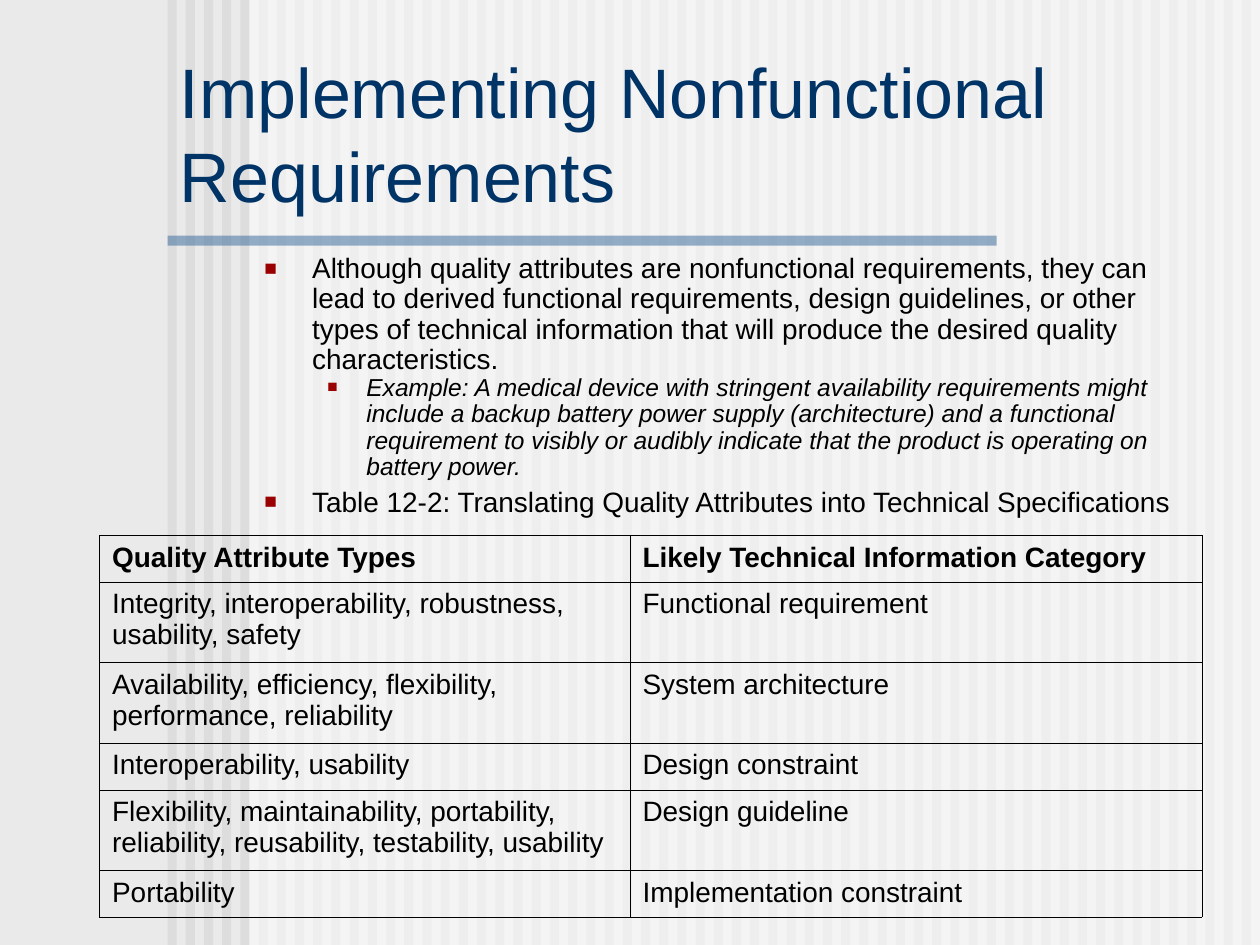
from lxml.etree import SubElement
from pptx import Presentation
from pptx.dml.color import RGBColor
from pptx.enum.shapes import MSO_SHAPE as Kind
from pptx.enum.text import MSO_ANCHOR as Anchor
from pptx.oxml import parse_xml
from pptx.oxml.ns import nsdecls, qn
from pptx.util import Inches, Pt

WIDE, HIGH = Inches(10), Inches(7.5)
LEFT, COUNT = 13.3, 60
POINTS = [
    (0, "Although quality attributes are nonfunctional requirements, they can lead to derived "
        "functional requirements, design guidelines, or other types of technical information "
        "that will produce the desired quality characteristics."),
    (1, "Example: A medical device with stringent availability requirements might include a "
        "backup battery power supply (architecture) and a functional requirement to visibly "
        "or audibly indicate that the product is operating on battery power."),
    (0, "Table 12-2: Translating Quality Attributes into Technical Specifications"),
]
LEVELS = [
    dict(size=16, left=0.38, hang=0.38, scale=75, before=4),
    dict(size=14, left=0.81, hang=0.31, scale=70, before=0, italic=True),
]
ROWS = [
    ("Quality Attribute Types", "Likely Technical Information Category"),
    ("Integrity, interoperability, robustness, usability, safety", "Functional requirement"),
    ("Availability, efficiency, flexibility, performance, reliability", "System architecture"),
    ("Interoperability, usability", "Design constraint"),
    ("Flexibility, maintainability, portability, reliability, reusability, testability, usability",
     "Design guideline"),
    ("Portability", "Implementation constraint"),
]


def color(code):
    """Turn a hex string into a colour."""
    return RGBColor.from_string(code)


def scale(box):
    """Turn percent shares of the slide into lengths."""
    return [int(part * side / 100) for part, side in zip(box, (WIDE, HIGH) * 2)]


def write(para, text, size=16, hue="000000", bold=False, italic=False):
    """Add one formatted run to a paragraph."""
    run = para.add_run()
    run.text = text
    font = run.font
    font.name, font.size = "Arial", Pt(size)
    font.bold, font.italic = bold, italic
    font.color.rgb = color(hue)


def bar(slide, box, hue, alpha=100):
    """Draw a plain filled rectangle."""
    shape = slide.shapes.add_shape(Kind.RECTANGLE, *scale(box))
    shape.shadow.inherit = False
    shape.line.fill.background()
    shape.fill.solid()
    shape.fill.fore_color.rgb = color(hue)
    if alpha < 100:
        tone = shape.fill._xPr.find(".//" + qn("a:srgbClr"))
        SubElement(tone, qn("a:alpha"), val=str(alpha * 1000))


def frame(slide, box, anchor=Anchor.TOP):
    """Add a wrapping text box and return its frame."""
    body = slide.shapes.add_textbox(*scale(box)).text_frame
    body.word_wrap, body.vertical_anchor = True, anchor
    return body


def stripes(slide, box):
    """Fill the box with even stripes, veil them and rule off the title."""
    x, y, w, h = box
    pitch = w / COUNT
    for i in range(COUNT):
        bar(slide, (x + i * pitch, y, pitch / 2, h), "DDDDDD")
    bar(slide, (19.8, y, 80.2, h), "FFFFFF", 50)
    bar(slide, (x, 24.93, 65.8, 1.07), "336699", 50)


def title(slide, box, text):
    """Place the title, growing upward from its base."""
    write(frame(slide, box, Anchor.BOTTOM).paragraphs[0], text, size=40, hue="003366")


def bullet(para, left, hang, scale):
    """Give a paragraph a hanging square bullet."""
    props = para._p.get_or_add_pPr()
    props.set("marL", str(Inches(left)))
    props.set("indent", str(-Inches(hang)))
    SubElement(SubElement(props, qn("a:buClr")), qn("a:srgbClr"), val="9A0000")
    SubElement(props, qn("a:buSzPct"), val=str(scale * 1000))
    SubElement(props, qn("a:buFont"), typeface="Arial")
    SubElement(props, qn("a:buChar"), char="■")


def points(slide, box, items):
    """Place the bulleted list."""
    body = frame(slide, box)
    for i, (level, text) in enumerate(items):
        look = LEVELS[level]
        para = body.add_paragraph() if i else body.paragraphs[0]
        para.level, para.line_spacing = level, 0.9
        para.space_before = Pt(look["before"] if i else 0)
        bullet(para, look["left"], look["hang"], look["scale"])
        write(para, text, size=look["size"], italic=look.get("italic", False))


def border(cell):
    """Draw thin black lines on all sides of a cell."""
    props = cell._tc.get_or_add_tcPr()
    for i, side in enumerate("LRTB"):
        props.insert(i, parse_xml(
            f'<a:ln{side} {nsdecls("a")} w="{Pt(0.34)}"><a:solidFill>'
            f'<a:srgbClr val="000000"/></a:solidFill></a:ln{side}>'))


def table(slide, box, rows):
    """Place the table with a bold head row."""
    grid = slide.shapes.add_table(len(rows), 2, *scale(box)).table
    grid.first_row = grid.horz_banding = False
    for col, wide in zip(grid.columns, (4.21, 4.54)):
        col.width = Inches(wide)
    for r, (row, texts) in enumerate(zip(grid.rows, rows)):
        row.height = Inches(0.64 if len(texts[0]) > 40 else 0.37)
        for cell, text in zip(row.cells, texts):
            cell.fill.background()
            border(cell)
            write(cell.text_frame.paragraphs[0], text, bold=r == 0)


def main():
    """Build and save the slide."""
    deck = Presentation()
    deck.slide_width, deck.slide_height = WIDE, HIGH
    slide = deck.slides.add_slide(deck.slide_layouts[6])
    slide.background.fill.solid()
    slide.background.fill.fore_color.rgb = color("EAEAEA")
    stripes(slide, (LEFT, 0, 100 - LEFT, 100))
    title(slide, (LEFT, 14.4, 73.3, 9.2), "Implementing Nonfunctional Requirements")
    points(slide, (20, 26.27, 75, 30.4), POINTS)
    table(slide, (7.9, 56.67, 87.5, 40), ROWS)
    deck.save("out.pptx")


if __name__ == "__main__":
    main()
